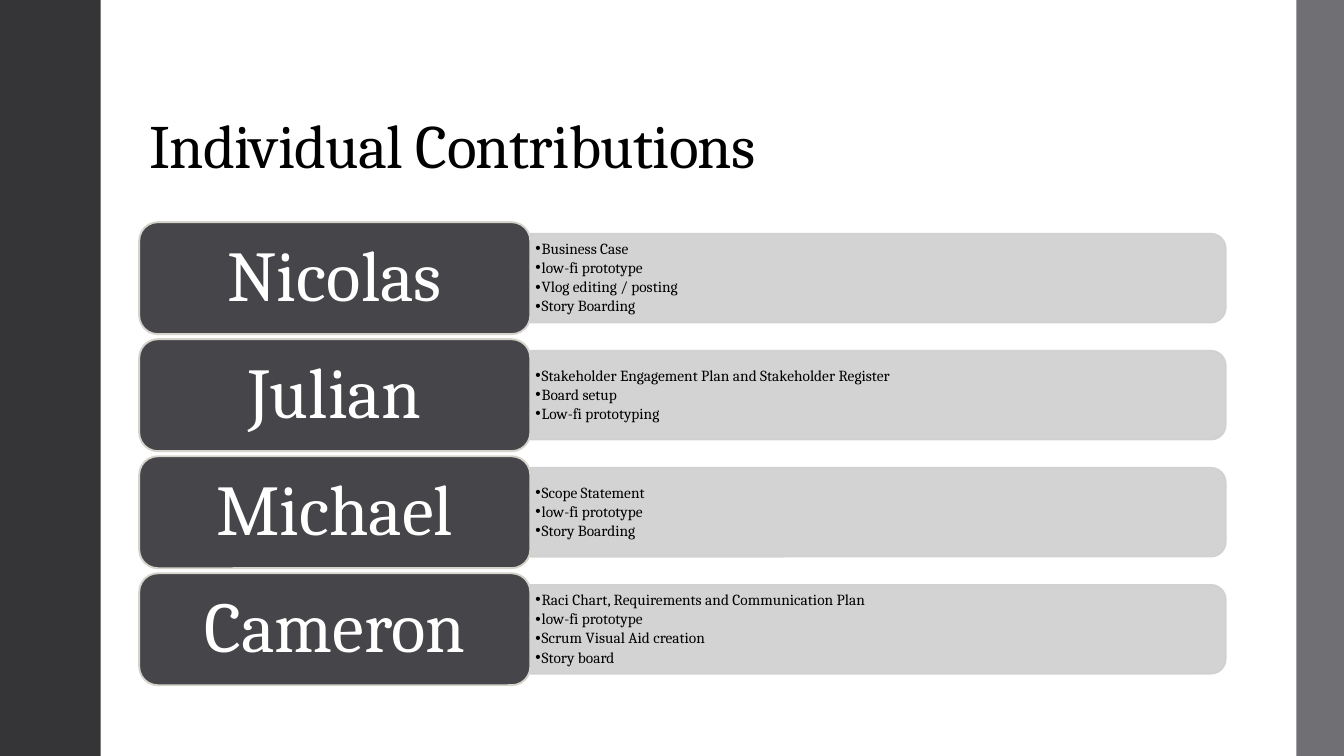
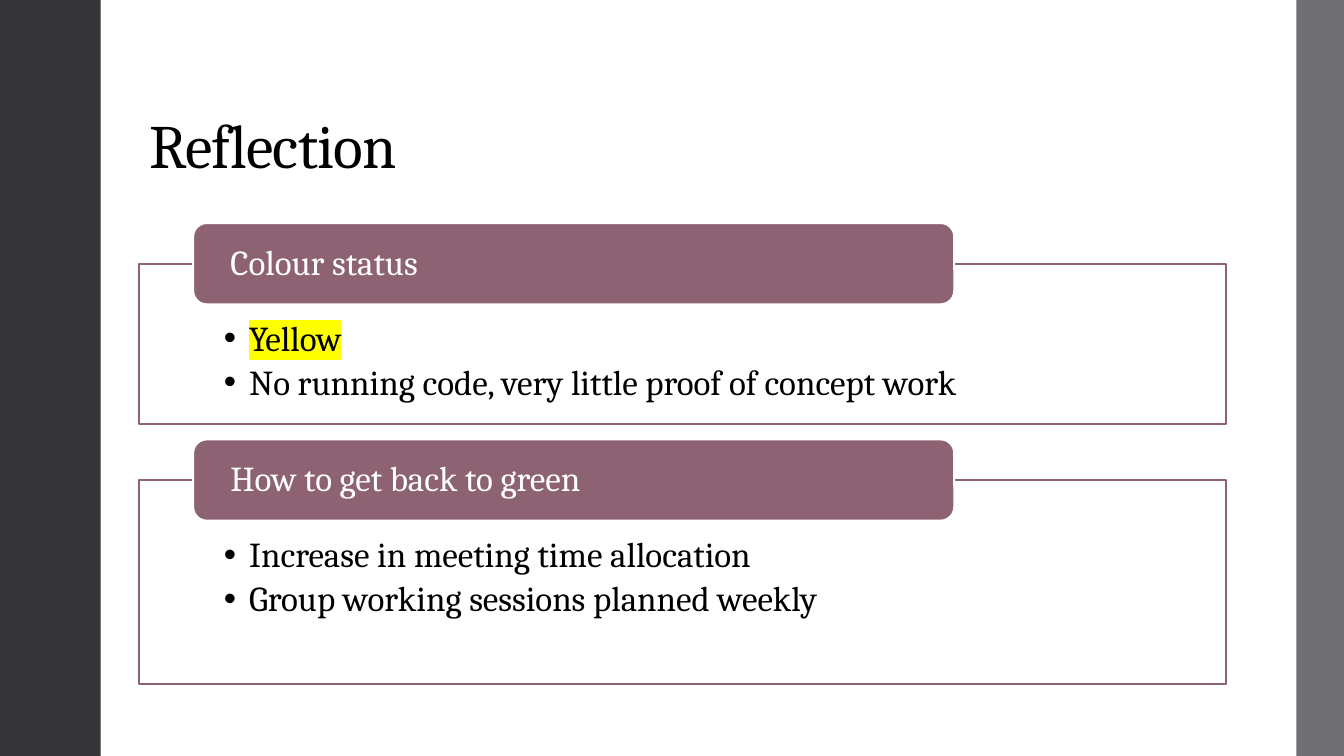
from lxml import etree
from pptx import Presentation
from pptx import util as u
from pptx.dml.color import RGBColor
from pptx.enum import shapes, text
from pptx.oxml import ns

BLACK = RGBColor(0x00, 0x00, 0x00)
WHITE = RGBColor(0xFF, 0xFF, 0xFF)
CHARCOAL = RGBColor(0x35, 0x35, 0x37)
SLATE = RGBColor(0x46, 0x46, 0x4A)
STEEL = RGBColor(0x6F, 0x6F, 0x74)
SILVER = RGBColor(0xCF, 0xCF, 0xD0)
SAND = RGBColor(0xD6, 0xD3, 0xCC)
MAUVE = RGBColor(0x8D, 0x63, 0x74)
YELLOW = RGBColor(0xFF, 0xFF, 0x00)

FONT = "Cambria"
WIDTH, HEIGHT = 960, 540
LEFT, CONTENT_WIDTH = 99.4, 776.2
TWO_LISTS, FOUR_LISTS = 3, 4

CONTRIBUTIONS = {
    "Nicolas": ["Business Case", "low-fi prototype", "Vlog editing / posting", "Story Boarding"],
    "Julian": ["Stakeholder Engagement Plan and Stakeholder Register", "Board setup", "Low-fi prototyping"],
    "Michael": ["Scope Statement", "low-fi prototype", "Story Boarding"],
    "Cameron": ["Raci Chart, Requirements and Communication Plan", "low-fi prototype",
                "Scrum Visual Aid creation", "Story board"],
}
REFLECTIONS = [
    ("Colour status", ["Yellow", "No running code, very little proof of concept work"], 114.5),
    ("How to get back to green", ["Increase in meeting time allocation", "Group working sessions planned weekly"], 145.5),
]


def apply(target, **values):
    for name, value in values.items():
        setattr(target, name, value)


def add_xml(parent, tag, **attributes):
    return etree.SubElement(parent, ns.qn(tag), attributes)


class Deck:
    def __init__(self):
        self.presentation = Presentation()
        apply(self.presentation, slide_width=u.Pt(WIDTH), slide_height=u.Pt(HEIGHT))
        self.slide = None

    def start(self, heading, layout):
        self.slide = self.presentation.slides.add_slide(self.presentation.slide_layouts[layout])
        self.shape(shapes.MSO_SHAPE.RECTANGLE, (0, 0, 72, HEIGHT), CHARCOAL)
        self.shape(shapes.MSO_SHAPE.RECTANGLE, (926, 0, 34, HEIGHT), STEEL)
        title = self.slide.shapes.title
        self.place(title, (LEFT, 28.8, CONTENT_WIDTH, 104.4))
        self.set_text(title, [heading], 44, BLACK, anchor=text.MSO_ANCHOR.BOTTOM)
        title.text_frame.paragraphs[0].runs[0].font._element.set("spc", "-50")

    def place(self, item, box):
        apply(item, **dict(zip(("left", "top", "width", "height"), map(u.Pt, box))))

    def outline(self, item, colour, weight):
        item.line.color.rgb = colour
        item.line.width = u.Pt(weight)

    def shape(self, kind, box, fill, line=None, weight=1.35, opacity=None):
        item = self.slide.shapes.add_shape(kind, *map(u.Pt, box))
        item.shadow.inherit = False
        item.fill.solid()
        item.fill.fore_color.rgb = fill
        if line is None:
            item.line.fill.background()
        else:
            self.outline(item, line, weight)
        if opacity is not None:
            for colour in item.element.spPr.iter(ns.qn("a:srgbClr")):
                add_xml(colour, "a:alpha", val=str(opacity * 1000))
        return item

    def set_text(self, item, lines, size, colour, anchor=text.MSO_ANCHOR.MIDDLE,
                 align=text.PP_ALIGN.LEFT, insets=(7.2, 3.6, 7.2, 3.6), after=0):
        frame = item.text_frame
        sides = ("margin_left", "margin_top", "margin_right", "margin_bottom")
        apply(frame, text="\n".join(lines), word_wrap=True, auto_size=text.MSO_AUTO_SIZE.NONE,
              vertical_anchor=anchor, **dict(zip(sides, map(u.Pt, insets))))
        for paragraph in frame.paragraphs:
            apply(paragraph, alignment=align, line_spacing=0.9,
                  space_before=u.Pt(0), space_after=u.Pt(after))
            font = paragraph.runs[0].font
            apply(font, name=FONT, size=u.Pt(size), bold=False)
            font.color.rgb = colour

    def bullets(self, index, box, lines, size, indent, **style):
        listing = self.slide.placeholders[index]
        self.slide.shapes.element.append(listing.element)
        self.place(listing, box)
        self.set_text(listing, lines, size, BLACK, **style)
        for paragraph in listing.text_frame.paragraphs:
            properties = paragraph._p.get_or_add_pPr()
            properties.set("marL", str(u.Pt(indent)))
            properties.set("indent", str(-u.Pt(indent)))
            add_xml(properties, "a:buFont", typeface="Arial")
            add_xml(properties, "a:buChar", char="•")
        return listing

    def highlight(self, paragraph, colour):
        latin = paragraph.runs[0].font._element.find(ns.qn("a:latin"))
        marker = etree.Element(ns.qn("a:highlight"))
        add_xml(marker, "a:srgbClr", val=str(colour))
        latin.addprevious(marker)

    def contribution(self, index, top, member, tasks):
        name_width, name_height, bar_width, bar_height = 279.4, 80, 496.8, 63.6
        bar_left, middle = LEFT + name_width, top + name_height / 2
        bar_box = (bar_left + (bar_width - bar_height) / 2, middle - bar_width / 2, bar_height, bar_width)
        bar = self.shape(shapes.MSO_SHAPE.ROUND_2_SAME_RECTANGLE, bar_box, SILVER, SILVER, 1.1, 90)
        bar.rotation = 90
        self.bullets(index, (bar_left, middle - 28.8, 494, 57.6), tasks, 11, 4.5,
                     insets=(3.6, 1.6, 3.6, 1.6), after=1.8)
        name = self.shape(shapes.MSO_SHAPE.ROUNDED_RECTANGLE,
                          (LEFT, top, name_width, name_height), SLATE, SAND)
        self.set_text(name, [member], 51, WHITE, align=text.PP_ALIGN.CENTER)

    def reflection(self, index, top, heading, points, height):
        panel = self.bullets(index, (LEFT, top + 29, CONTENT_WIDTH, height), points, 25, 18,
                             anchor=text.MSO_ANCHOR.TOP, insets=(60.5, 41, 60.5, 13.7), after=4.3)
        self.outline(panel, MAUVE, 1.1)
        tab = self.shape(shapes.MSO_SHAPE.ROUNDED_RECTANGLE, (138, top, 543.6, 58), MAUVE, WHITE)
        self.set_text(tab, [heading], 25, WHITE, insets=(23.8, 0, 23.8, 0))
        return panel


def main():
    deck = Deck()
    deck.start("Individual Contributions", FOUR_LISTS)
    for row, (member, tasks) in enumerate(CONTRIBUTIONS.items()):
        deck.contribution(row + 1, 158.7 + row * 83.6, member, tasks)

    deck.start("Reflection", TWO_LISTS)
    top = 159.4
    for index, (heading, points, height) in enumerate(REFLECTIONS, 1):
        panel = deck.reflection(index, top, heading, points, height)
        if index == 1:
            deck.highlight(panel.text_frame.paragraphs[0], YELLOW)
        top += height + 40
    deck.presentation.save("out.pptx")


if __name__ == "__main__":
    main()
